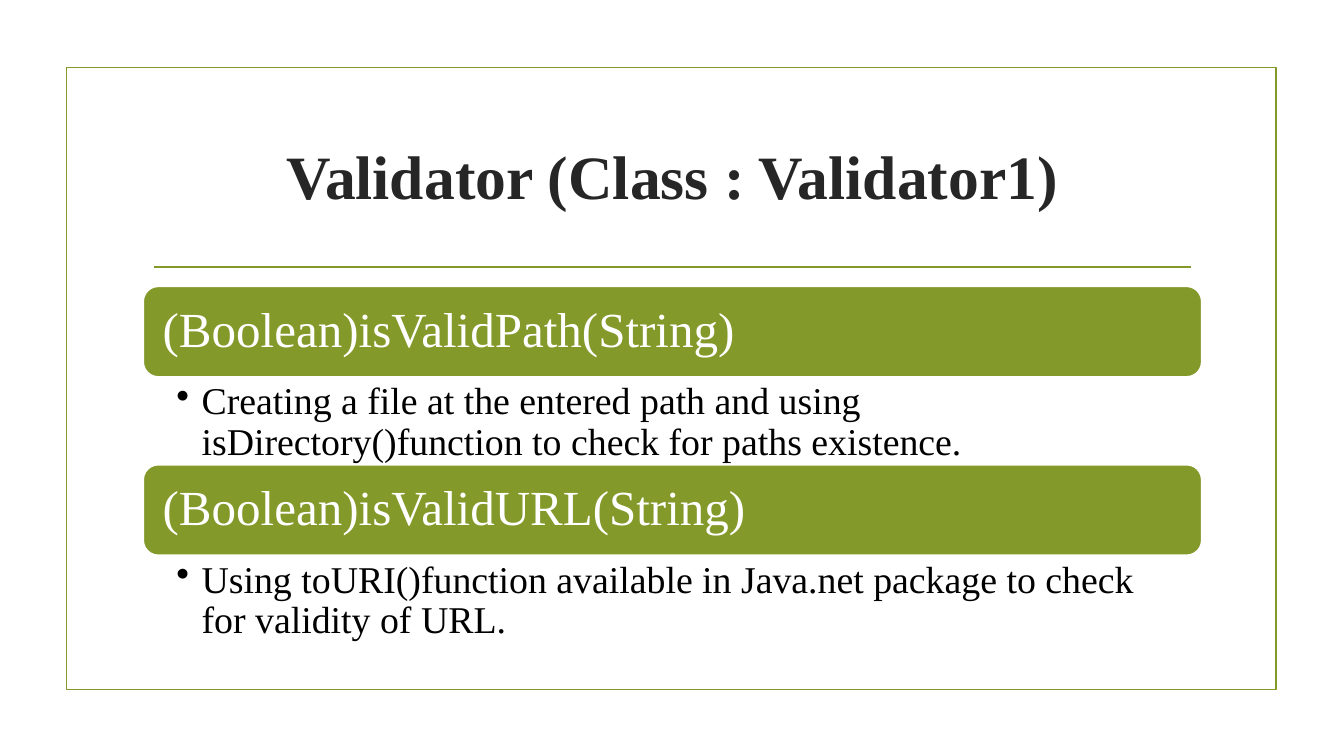
from dataclasses import dataclass
from lxml.etree import SubElement as Sub
from pptx import Presentation
from pptx.dml.color import RGBColor as RGB
from pptx.enum.shapes import MSO_CONNECTOR as Conn, MSO_SHAPE as Kind
from pptx.enum.text import MSO_ANCHOR as Anchor, MSO_AUTO_SIZE as Auto, PP_ALIGN as Align
from pptx.oxml.ns import qn
from pptx.util import Inches, Pt


@dataclass(frozen=True)
class Theme:
    font: str = "Times New Roman"
    green: RGB = RGB(0x83, 0x99, 0x2A)
    white: RGB = RGB(255, 255, 255)
    black: RGB = RGB(0, 0, 0)
    ink: RGB = RGB(0x26, 0x26, 0x26)
    title: Pt = Pt(44)
    head: Pt = Pt(35)
    body: Pt = Pt(27)
    line: Pt = Pt(1.25)


def apply(target, values):
    for name, value in values.items():
        setattr(target, name, value)


class Page:
    """Draws styled elements on one slide."""

    def __init__(self, deck, theme):
        self.theme = theme
        self.slide = deck.slides.add_slide(deck.slide_layouts[5])
        self.shapes = self.slide.shapes

    def label(self, shape, text, size, color, pad, anchor, bold=False, spacing=0.9,
              align=Align.LEFT, bullet=None):
        frame = shape.text_frame
        sides = ("margin_left", "margin_top", "margin_right", "margin_bottom")
        apply(frame, dict(zip(sides, map(Inches, pad))))
        apply(frame, {"word_wrap": True, "auto_size": Auto.NONE, "vertical_anchor": anchor})
        frame.text = text
        para = frame.paragraphs[0]
        apply(para, {"alignment": align, "line_spacing": spacing})
        if bullet:
            props = para._p.get_or_add_pPr()
            props.set("marL", str(Inches(0.25)))
            props.set("indent", str(Inches(-0.25)))
            Sub(props, qn("a:buChar")).set("char", bullet)
        font = para.runs[0].font
        apply(font, {"name": self.theme.font, "size": size, "bold": bold})
        font.color.rgb = color

    def stroke(self, shape, color):
        shape.line.color.rgb = color
        shape.line.width = self.theme.line

    def title(self, text, box):
        shape = self.shapes.title
        apply(shape, dict(zip(("left", "top", "width", "height"), map(Inches, box))))
        self.label(shape, text, self.theme.title, self.theme.ink, (0.1, 0.05, 0.1, 0.05),
                   Anchor.MIDDLE, bold=True, align=Align.CENTER)

    def frame(self, box):
        shape = self.shapes.add_shape(Kind.RECTANGLE, *map(Inches, box))
        shape.shadow.inherit = False
        shape.fill.background()
        self.stroke(shape, self.theme.green)

    def rule(self, left, right, top):
        line = self.shapes.add_connector(Conn.STRAIGHT, *map(Inches, (left, top, right, top)))
        self.stroke(line, self.theme.green)
        Sub(line._element.spPr, qn("a:effectLst"))

    def bar(self, text, box):
        shape = self.shapes.add_shape(Kind.ROUNDED_RECTANGLE, *map(Inches, box))
        shape.shadow.inherit = False
        shape.fill.solid()
        shape.fill.fore_color.rgb = self.theme.green
        self.stroke(shape, self.theme.white)
        self.label(shape, text, self.theme.head, self.theme.white,
                   (0.15, 0.15, 0.15, 0.15), Anchor.MIDDLE)

    def note(self, text, box):
        shape = self.shapes.add_textbox(*map(Inches, box))
        self.label(shape, text, self.theme.body, self.theme.black,
                   (0.33, 0.05, 0.27, 0.05), Anchor.TOP, bullet="•")


def main():
    deck = Presentation()
    apply(deck, {"slide_width": Inches(13.33), "slide_height": Inches(7.5)})
    page = Page(deck, Theme())
    left, width, top = 1.42, 10.5, 2.84
    bar, note = 0.9, 0.87
    checks = (
        ("(Boolean)isValidPath(String)",
         "Creating a file at the entered path and using isDirectory()function "
         "to check for paths existence."),
        ("(Boolean)isValidURL(String)",
         "Using toURI()function available in Java.net package to check for validity of URL."),
    )
    page.frame((0.66, 0.67, 12, 6.17))
    page.rule(1.53, 11.81, 2.65)
    page.title("Validator (Class : Validator1)", (left, 1.07, width, 1.43))
    for step, (head, text) in enumerate(checks):
        start = top + step * (bar + note)
        page.bar(head, (left, start, width, bar))
        page.note(text, (left, start + bar, width, note))
    deck.save("out.pptx")


if __name__ == "__main__":
    main()
